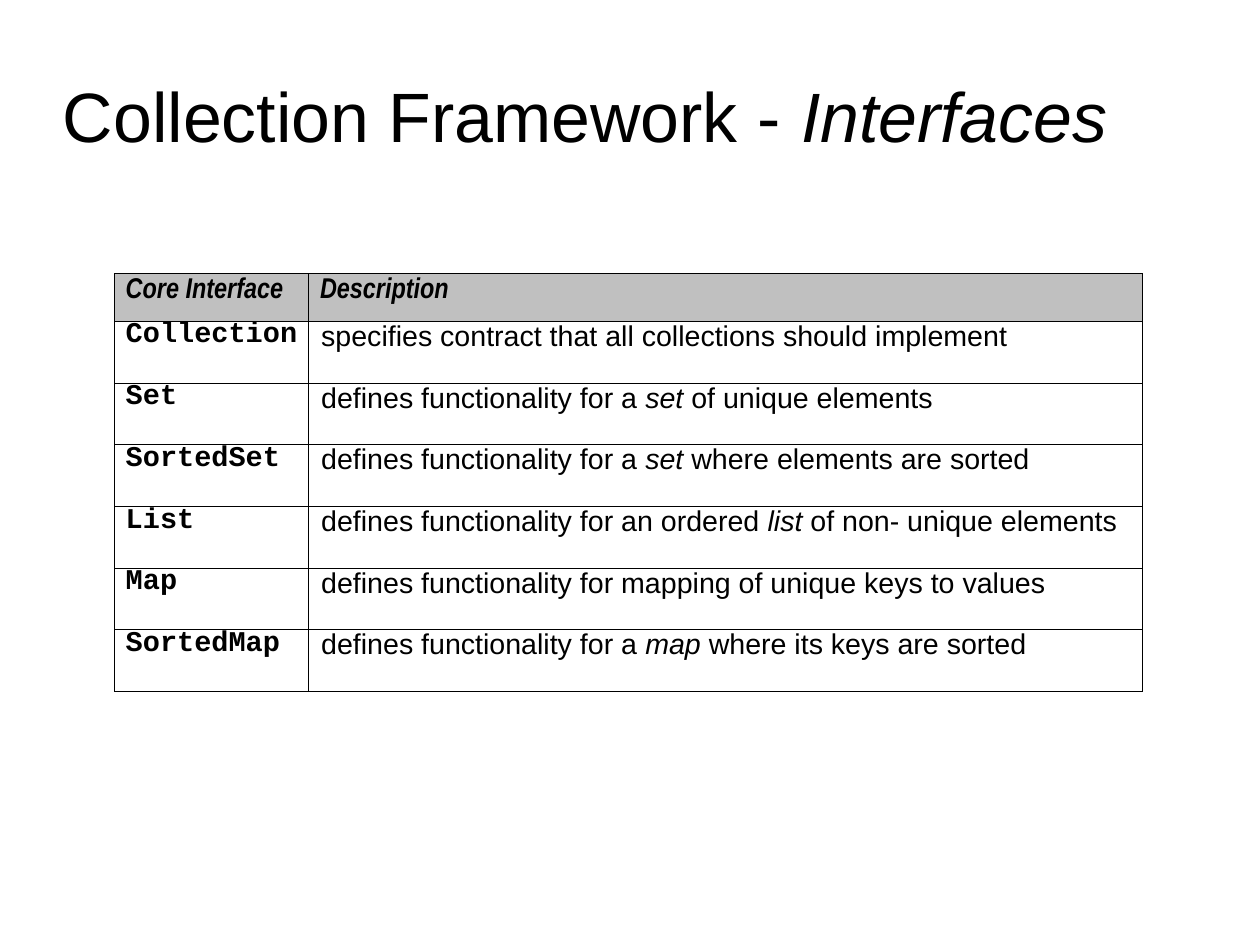
from dataclasses import dataclass

from lxml.etree import SubElement
from pptx import Presentation
from pptx.dml.color import RGBColor
from pptx.enum.text import MSO_ANCHOR
from pptx.oxml.ns import qn
from pptx.slide import Slide
from pptx.table import _Cell as Cell
from pptx.text.text import TextFrame
from pptx.util import Inches, Pt

CM_PER_INCH = 2.54
PAGE_WIDTH, PAGE_HEIGHT = 28 / CM_PER_INCH, 21 / CM_PER_INCH
COLORS = {"ink": "000000", "header": "C0C0C0"}
COLUMN_WIDTHS = (1.7, 7.29)
HEADER_HEIGHT, ROW_HEIGHT = 0.42, 0.54
BORDER_WIDTH = Pt(0.23)


@dataclass
class CoreInterface:
    name: str
    description: str  # asterisks enclose italic words


INTERFACES = [
    CoreInterface("Collection", "specifies contract that all collections should implement"),
    CoreInterface("Set", "defines functionality for a *set* of unique elements"),
    CoreInterface("SortedSet", "defines functionality for a *set* where elements are sorted"),
    CoreInterface("List", "defines functionality for an ordered *list* of non- unique elements"),
    CoreInterface("Map", "defines functionality for mapping of unique keys to values"),
    CoreInterface("SortedMap", "defines functionality for a *map *where its keys are sorted"),
]


def write_text(frame: TextFrame, text: str, *, font: str = "Arial", size: float = 18,
               bold: bool = False, spacing: float = 1.0,
               margin: float = 0, indent: float = 0) -> None:
    """Write one paragraph, with the words between asterisks in italics."""
    para = frame.paragraphs[0]
    para.line_spacing = spacing
    if margin:
        properties = para._p.get_or_add_pPr()
        properties.set("marL", str(Inches(margin)))
        properties.set("indent", str(Inches(indent)))
    for position, part in enumerate(text.split("*")):
        if not part:
            continue
        span = para.add_run()
        span.text = part
        span.font.name = font
        span.font.size = Pt(size)
        span.font.bold = bold
        span.font.italic = position % 2 == 1
        span.font.color.rgb = RGBColor.from_string(COLORS["ink"])


def draw_borders(cell: Cell) -> None:
    properties = cell._tc.get_or_add_tcPr()
    for index, side in enumerate(("a:lnL", "a:lnR", "a:lnT", "a:lnB")):
        line = SubElement(properties, qn(side), w=str(BORDER_WIDTH))
        fill = SubElement(line, qn("a:solidFill"))
        SubElement(fill, qn("a:srgbClr"), val=COLORS["ink"])
        properties.insert(index, line)


def add_title(page: Slide) -> None:
    box = page.shapes.add_textbox(Inches(0.55), Inches(0.33), Inches(9.92), Inches(1.38))
    frame = box.text_frame
    frame.word_wrap = True
    frame.vertical_anchor = MSO_ANCHOR.MIDDLE
    frame.margin_left = frame.margin_right = frame.margin_bottom = 0
    frame.margin_top = Inches(0.04)
    write_text(frame, "Collection Framework - *Interfaces*", size=44, spacing=0.93)


def add_interface_table(page: Slide) -> None:
    height = HEADER_HEIGHT + ROW_HEIGHT * len(INTERFACES)
    table = page.shapes.add_table(
        len(INTERFACES) + 1, len(COLUMN_WIDTHS),
        Inches(1), Inches(2.39), Inches(sum(COLUMN_WIDTHS)), Inches(height)).table
    table.first_row = False
    table.horz_banding = False
    for column, width in zip(table.columns, COLUMN_WIDTHS):
        column.width = Inches(width)
    for index, row in enumerate(table.rows):
        row.height = Inches(ROW_HEIGHT if index else HEADER_HEIGHT)

    # Cell frames and fills
    for cell in table.iter_cells():
        cell.margin_left = Inches(0.1)
        cell.margin_right = Inches(0.09)
        cell.margin_top = cell.margin_bottom = Inches(0.05)
        cell.fill.background()
        draw_borders(cell)

    # Header row
    for column, heading in enumerate(("Core Interface", "Description")):
        cell = table.cell(0, column)
        cell.fill.solid()
        cell.fill.fore_color.rgb = RGBColor.from_string(COLORS["header"])
        write_text(cell.text_frame, f"*{heading}*", font="Arial Narrow", bold=True, spacing=0.89)

    # Interface rows
    for row, item in enumerate(INTERFACES, start=1):
        write_text(table.cell(row, 0).text_frame, item.name,
                   font="Courier New", bold=True, spacing=0.62)
        write_text(table.cell(row, 1).text_frame, item.description,
                   spacing=0.76, margin=0.24, indent=-0.23)


def main() -> None:
    deck = Presentation()
    deck.slide_width = Inches(PAGE_WIDTH)
    deck.slide_height = Inches(PAGE_HEIGHT)
    page = deck.slides.add_slide(deck.slide_layouts[6])
    add_title(page)
    add_interface_table(page)
    deck.save("out.pptx")


if __name__ == "__main__":
    main()
